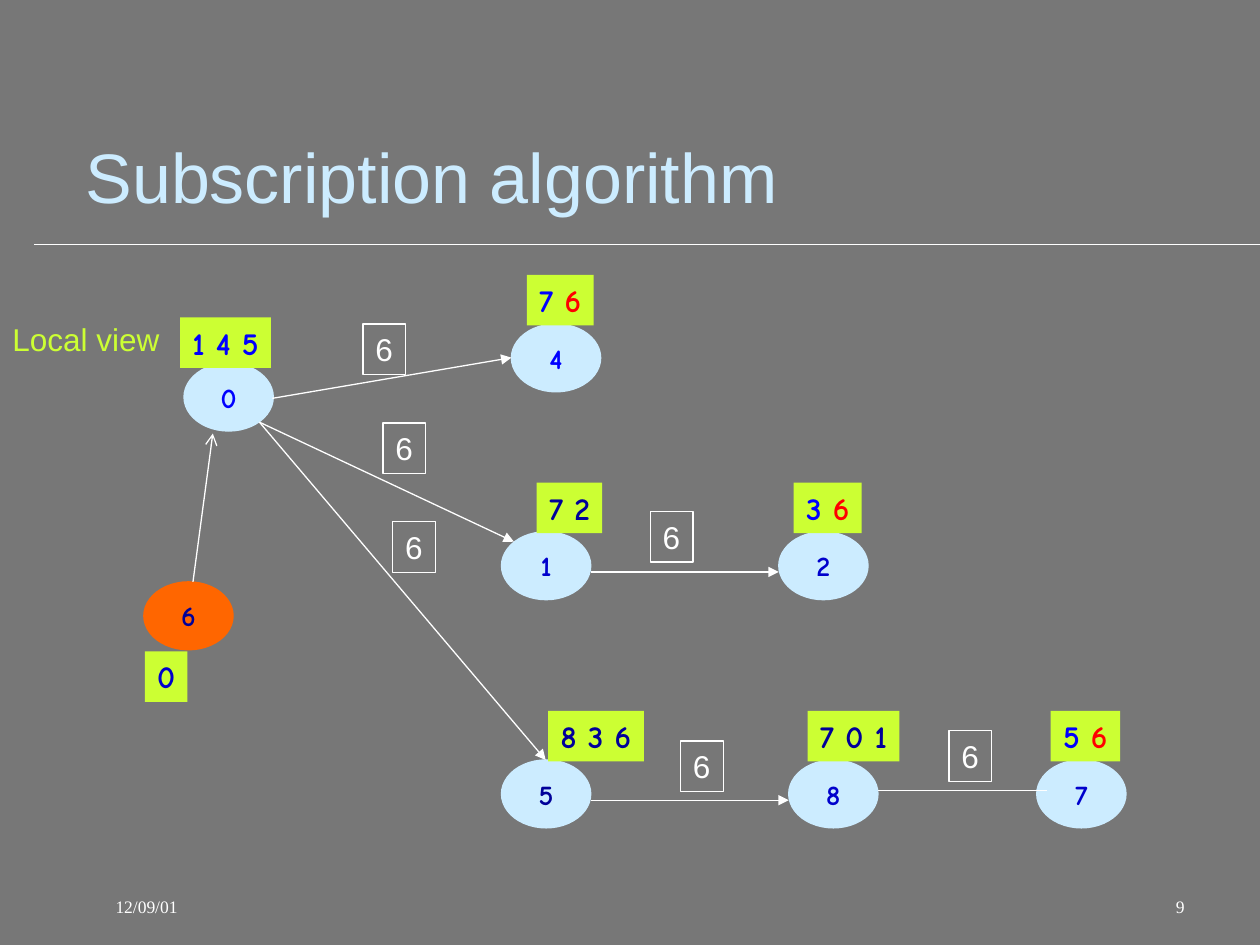
from lxml.etree import SubElement
from pptx import Presentation
from pptx.dml.color import RGBColor
from pptx.enum.shapes import MSO_CONNECTOR as Connector, MSO_SHAPE as Shape
from pptx.enum.text import MSO_ANCHOR as Anchor, MSO_AUTO_SIZE as AutoSize, PP_ALIGN as Align
from pptx.oxml.ns import qn
from pptx.util import Cm, Pt

COLORS = {
    "background": "777777", "white": "FFFFFF", "pale": "CCECFF",
    "orange": "FF6600", "lime": "CCFF33", "blue": "0000FF",
    "medium": "0000CC", "navy": "000099", "red": "FF0000",
}
NODE_W, NODE_H = 1.8, 1.37
LABEL_H, MESSAGE_W = 1.02, 0.86
TOP_ROW, MIDDLE_ROW, BOTTOM_ROW = 6.53, 10.72, 15.32
VIEW_RISE = 0.99

NODES = [
    ("0", 3.71, 7.32, "pale", "blue"),
    ("1", 10.11, MIDDLE_ROW, "pale", "medium"),
    ("5", 10.11, BOTTOM_ROW, "pale", "navy"),
    ("4", 10.31, TOP_ROW, "pale", "blue"),
    ("6", 2.9, 11.73, "orange", "navy"),
    ("2", 15.7, MIDDLE_ROW, "pale", "medium"),
    ("8", 15.9, BOTTOM_ROW, "pale", "medium"),
    ("7", 20.9, BOTTOM_ROW, "pale", "medium"),
]
LINKS = [
    (5.49, 8.03, 10.31, 7.21, "triangle"),
    (5.23, 8.51, 10.36, 10.92, "triangle"),
    (5.23, 8.51, 11, BOTTOM_ROW, "triangle"),
    (3.89, 11.73, 4.29, 8.74, "arrow"),
    (11.91, 11.53, 15.7, 11.53, "triangle"),
    (11.91, 16.13, 15.9, 16.13, "triangle"),
    (17.7, 15.93, 21.11, 15.93, None),
]
VIEWS = [
    (3.63, 6.4, 1.83, [("1 4 5", "blue")]),
    (2.92, 13.13, 0.86, [("0", "medium")]),
    (10.62, TOP_ROW - VIEW_RISE, 1.35, [("7 ", "blue"), ("6", "red")]),
    (10.82, MIDDLE_ROW - VIEW_RISE, 1.32, [("7 2", "navy")]),
    (16, MIDDLE_ROW - VIEW_RISE, 1.37, [("3 ", "blue"), ("6", "red")]),
    (11.05, BOTTOM_ROW - VIEW_RISE, 1.93, [("8 3 6", "navy")]),
    (16.28, BOTTOM_ROW - VIEW_RISE, 1.85, [("7 0 1", "navy")]),
    (21.18, BOTTOM_ROW - VIEW_RISE, 1.4, [("5 ", "blue"), ("6", "red")]),
]
MESSAGES = [(7.32, 6.53), (7.72, 8.53), (7.92, 10.52),
            (13.11, 10.31), (13.72, 14.94), (19.13, 14.73)]


def rgb(color):
    return RGBColor.from_string(COLORS[color])


def write(owner, runs, size, font, align=Align.LEFT, anchor=Anchor.TOP, bold=False, wrap=False):
    frame = owner.text_frame
    frame.word_wrap = wrap
    frame.auto_size = AutoSize.NONE
    frame.vertical_anchor = anchor
    paragraph = frame.paragraphs[0]
    paragraph.alignment = align
    for words, color in runs:
        run = paragraph.add_run()
        run.text = words
        run.font.size = Pt(size)
        run.font.name = font
        run.font.bold = bold
        run.font.color.rgb = rgb(color)
    return paragraph


def add_outline(slide, kind, left, top, width, height, fill=None, line=None):
    outline = slide.shapes.add_shape(kind, Cm(left), Cm(top), Cm(width), Cm(height))
    outline.shadow.inherit = False
    if fill:
        outline.fill.solid()
        outline.fill.fore_color.rgb = rgb(fill)
    else:
        outline.fill.background()
    if line:
        outline.line.color.rgb = rgb(line)
        outline.line.width = Pt(0.75)
    else:
        outline.line.fill.background()
    return outline


def add_title(slide):
    title = slide.shapes.title
    title.left, title.top, title.width, title.height = Cm(1.47), Cm(1.32), Cm(22.66), Cm(3.18)
    heading = write(title, [("Subscription algorithm", "pale")], 40, "Arial",
                    anchor=Anchor.BOTTOM, wrap=True)
    heading.line_spacing = 0.8


def add_node(slide, number, left, top, fill, color):
    node = add_outline(slide, Shape.OVAL, left, top, NODE_W, NODE_H, fill, fill)
    write(node, [(number, color)], 16, "Comic Neue", Align.CENTER, Anchor.MIDDLE, bold=True)


def add_link(slide, x1, y1, x2, y2, head=None):
    link = slide.shapes.add_connector(Connector.STRAIGHT, Cm(x1), Cm(y1), Cm(x2), Cm(y2))
    link.line.color.rgb = rgb("white")
    link.line.width = Pt(0.75)
    if head:
        SubElement(link.line._get_or_add_ln(), qn("a:tailEnd"), type=head)
    SubElement(link._element.spPr, qn("a:effectLst"))


def add_view(slide, left, top, width, runs):
    view = add_outline(slide, Shape.RECTANGLE, left, top, width, LABEL_H, fill="lime")
    write(view, runs, 18, "Comic Neue", bold=True)


def add_message(slide, left, top):
    message = add_outline(slide, Shape.RECTANGLE, left, top, MESSAGE_W, LABEL_H, line="white")
    write(message, [("6", "white")], 18, "Arial")


def add_caption(slide, left, top, width, height):
    return slide.shapes.add_textbox(Cm(left), Cm(top), Cm(width), Cm(height))


def add_footer(slide, words, left, width, align):
    footer = add_caption(slide, left, 17.35, width, 1.27)
    footer.text_frame.margin_left = Cm(0.86)
    write(footer, [(words, "white")], 10, "Times New Roman", align, Anchor.BOTTOM, wrap=True)


def main():
    deck = Presentation()
    deck.slide_width, deck.slide_height = Cm(25.4), Cm(19.05)
    slide = deck.slides.add_slide(deck.slide_layouts[5])
    slide.background.fill.solid()
    slide.background.fill.fore_color.rgb = rgb("background")

    add_title(slide)
    add_link(slide, 0.69, 4.93, 25.4, 4.93)
    for node in NODES:
        add_node(slide, *node)
    for link in LINKS:
        add_link(slide, *link)
    for view in VIEWS:
        add_view(slide, *view)
    for message in MESSAGES:
        add_message(slide, *message)
    local_view = add_caption(slide, 0, 6.32, 3.45, LABEL_H)
    write(local_view, [("Local view", "lime")], 18, "Arial")
    add_footer(slide, "9", 18.85, 5.28, Align.RIGHT)
    add_footer(slide, "12/09/01", 1.47, 5.72, Align.LEFT)
    deck.save("out.pptx")


if __name__ == "__main__":
    main()
